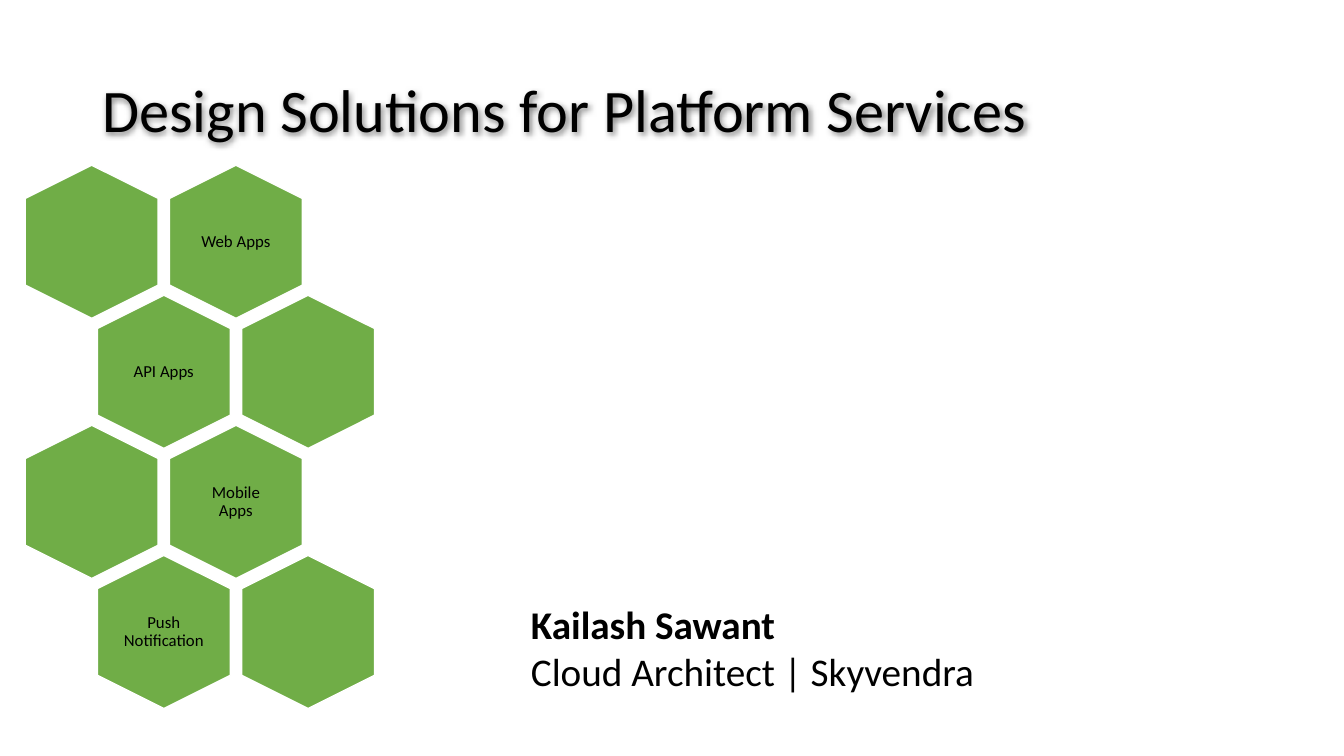
import dataclasses

import lxml.etree
import pptx
import pptx.dml.color
import pptx.enum.shapes
import pptx.enum.text
import pptx.oxml.ns
import pptx.util

Pt = pptx.util.Pt
ALIGN = pptx.enum.text.PP_ALIGN
ANCHOR = pptx.enum.text.MSO_ANCHOR


@dataclasses.dataclass(frozen=True)
class Theme:
    font: str = "Calibri"
    text: str = "000000"
    hexagon: str = "70AD47"
    outline: str = "FFFFFF"
    title_size: float = 43.1
    speaker_size: float = 28
    label_size: float = 12


class SlideBuilder:
    def __init__(self, slide, theme):
        self.slide = slide
        self.theme = theme

    def text(self, shapes, left, top, width, height, lines, size, anchor=ANCHOR.TOP,
             align=ALIGN.LEFT, spacing=1.0, after=0, inset=None):
        """Add a text box; lines holds one (wording, bold) pair per paragraph."""
        box = shapes.add_textbox(Pt(left), Pt(top), Pt(width), Pt(height))
        frame = box.text_frame
        frame.word_wrap = True
        frame.vertical_anchor = anchor
        if inset is not None:
            frame.margin_left = frame.margin_right = Pt(inset)
            frame.margin_top = frame.margin_bottom = Pt(inset)
        for index, (wording, bold) in enumerate(lines):
            para = frame.add_paragraph() if index else frame.paragraphs[0]
            para.alignment = align
            para.line_spacing = spacing
            para.space_after = Pt(after)
            span = para.add_run()
            span.text = wording
            span.font.name = self.theme.font
            span.font.size = Pt(size)
            span.font.bold = bold
            span.font.color.rgb = pptx.dml.color.RGBColor.from_string(self.theme.text)
        return box

    def hexagon(self, shapes, left, top, width, height):
        """Add a hexagon, sized before its quarter turn."""
        shape = shapes.add_shape(pptx.enum.shapes.MSO_SHAPE.HEXAGON,
                                 Pt(left), Pt(top), Pt(width), Pt(height))
        shape.adjustments[0] = 0.25
        shape.rotation = 90
        shape.shadow.inherit = False
        shape.fill.solid()
        shape.fill.fore_color.rgb = pptx.dml.color.RGBColor.from_string(self.theme.hexagon)
        shape.line.color.rgb = pptx.dml.color.RGBColor.from_string(self.theme.outline)
        shape.line.width = Pt(1)

    def soft_shadow(self, box):
        qn = pptx.oxml.ns.qn
        effects = lxml.etree.SubElement(box.element.spPr, qn("a:effectLst"))
        shadow = lxml.etree.SubElement(effects, qn("a:outerShdw"), blurRad=str(Pt(4)),
                                       dist=str(Pt(1)), dir="2700000", rotWithShape="0")
        color = lxml.etree.SubElement(shadow, qn("a:srgbClr"), val=self.theme.text)
        lxml.etree.SubElement(color, qn("a:alpha"), val="50000")

    def honeycomb(self, labels, left, top):
        """Stack rows of two hexagons; odd rows shift right, labels zigzag."""
        width, height = 109.4, 95
        column_step, row_step = 103, 92.9
        shapes = self.slide.shapes.add_group_shape().shapes
        for row, label in enumerate(labels):
            shift = row % 2 * column_step / 2
            y = top + row * row_step
            for column in range(2):
                x = left + shift + column * column_step
                self.hexagon(shapes, x, y, width, height)
                if column == 1 - row % 2:
                    self.text(shapes, x + 22, y + 9.7, width - 44, height - 19.4,
                              [(label, False)], self.theme.label_size, ANCHOR.MIDDLE,
                              ALIGN.CENTER, spacing=0.9, after=4.2, inset=3.6)


def main():
    deck = pptx.Presentation()
    deck.slide_width, deck.slide_height = Pt(960), Pt(540)
    page = deck.slides.add_slide(deck.slide_layouts[6])
    theme = Theme()
    builder = SlideBuilder(page, theme)

    title = builder.text(page.shapes, 66, 28.75, 828, 104.4,
                         [("Design Solutions for Platform Services", False)],
                         theme.title_size, ANCHOR.MIDDLE, spacing=0.9)
    builder.soft_shadow(title)
    builder.honeycomb(["Web Apps", "API Apps", "Mobile Apps", "Push Notification"],
                      left=10.8, top=125.2)
    builder.text(page.shapes, 372.2, 425.5, 340.6, 75,
                 [("Kailash Sawant", True), ("Cloud Architect | Skyvendra", False)],
                 theme.speaker_size)
    deck.save("out.pptx")


if __name__ == "__main__":
    main()
